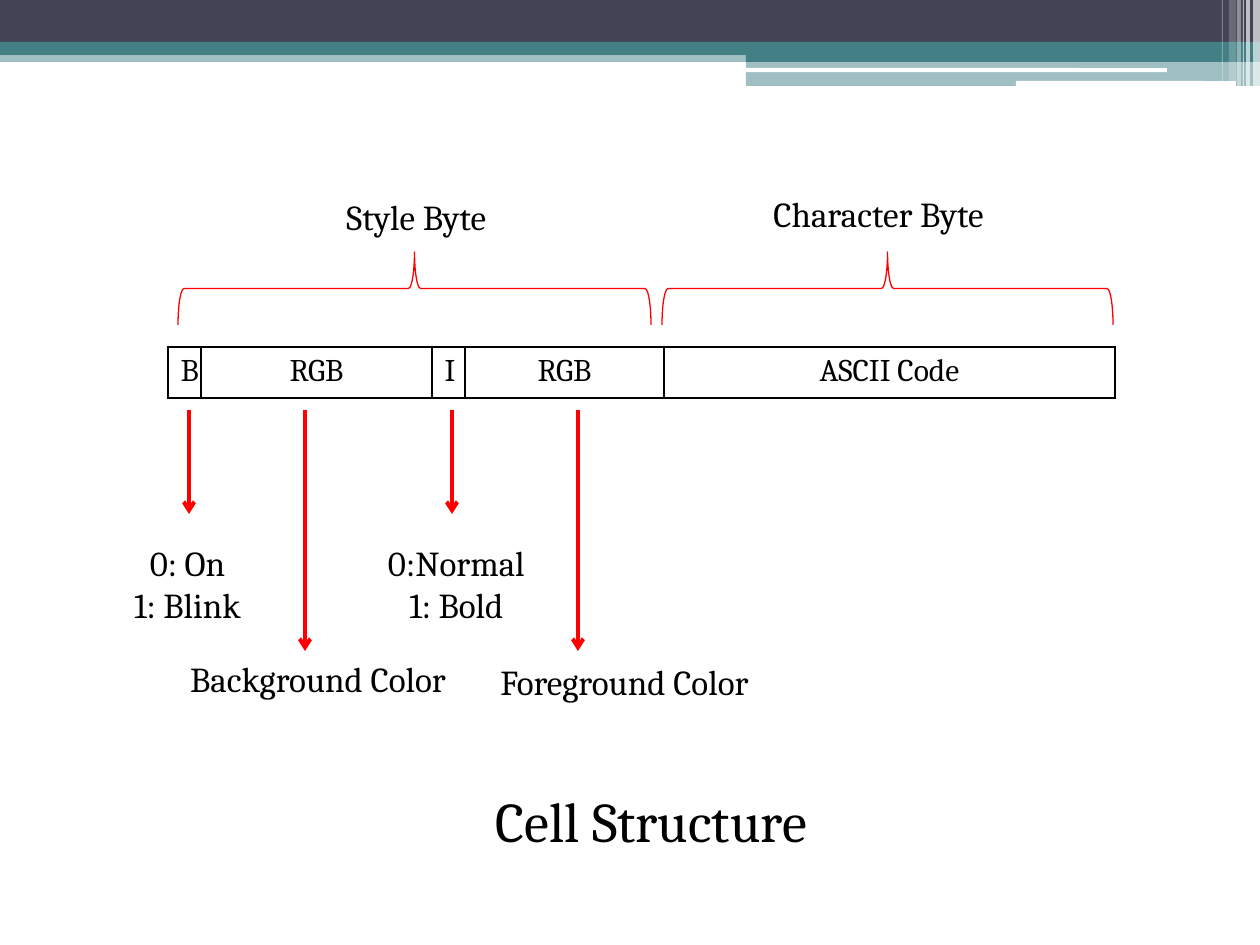
from lxml.etree import SubElement
from pptx import Presentation
from pptx.dml.color import RGBColor
from pptx.enum.shapes import MSO_CONNECTOR as CONN, MSO_SHAPE as SHAPE
from pptx.enum.text import MSO_ANCHOR as ANCHOR, MSO_AUTO_SIZE as AUTO, PP_ALIGN as ALIGN
from pptx.oxml import parse_xml
from pptx.oxml.ns import nsdecls, qn
from pptx.util import Emu, Inches, Pt

PX = Inches(1) / 126
NAVY = RGBColor(0x42, 0x44, 0x56)
TEAL = RGBColor(0x43, 0x80, 0x86)
WHITE = RGBColor(0xFF, 0xFF, 0xFF)
BLACK = RGBColor(0, 0, 0)
RED = RGBColor(0xFF, 0, 0)


def px(n):
    return Emu(round(n * PX))


class Deck:
    font = "Cambria"

    def __init__(self):
        self.prs = Presentation()
        self.prs.slide_width, self.prs.slide_height = Inches(10), Inches(7.5)
        self.s = self.prs.slides.add_slide(self.prs.slide_layouts[5])

    def style(self, tf, text, size, align):
        tf.text = text
        for p in tf.paragraphs:
            p.alignment = align
            p.font.name, p.font.size = self.font, Pt(size)
            p.font.color.rgb = BLACK

    def title(self, text, x, y, w, h):
        t = self.s.shapes.title
        t.left, t.top, t.width, t.height = map(px, (x, y, w, h))
        tf = t.text_frame
        tf.word_wrap, tf.auto_size = False, AUTO.SHAPE_TO_FIT_TEXT
        tf.vertical_anchor = ANCHOR.TOP
        self.style(tf, text, 32, ALIGN.LEFT)

    def label(self, text, x, y, w, h, align=ALIGN.CENTER):
        tf = self.s.shapes.add_textbox(*map(px, (x, y, w, h))).text_frame
        tf.word_wrap, tf.auto_size = False, AUTO.SHAPE_TO_FIT_TEXT
        self.style(tf, text, 20, align)

    def bar(self, x, y, w, h, color, opacity=100, kind=SHAPE.RECTANGLE):
        sp = self.s.shapes.add_shape(kind, *map(px, (x, y, w, h)))
        sp.shadow.inherit = False
        sp.fill.solid()
        sp.fill.fore_color.rgb = color
        sp.line.fill.background()
        if opacity < 100:
            clr = sp.element.spPr.find(qn("a:solidFill"))[0]
            SubElement(clr, qn("a:alpha"), val=str(opacity * 1000))

    def brace(self, x, y, w, h):
        left, top = x + (w - h) / 2, y + (h - w) / 2
        sp = self.s.shapes.add_shape(SHAPE.LEFT_BRACE, *map(px, (left, top, h, w)))
        sp.rotation = 90
        sp.shadow.inherit = False
        sp.fill.background()
        sp.line.color.rgb, sp.line.width = RED, Pt(0.75)

    def arrow(self, x, y1, y2):
        c = self.s.shapes.add_connector(CONN.STRAIGHT, *map(px, (x, y1, x, y2)))
        c.line.color.rgb, c.line.width = RED, Pt(2.25)
        SubElement(c.line._get_or_add_ln(), qn("a:tailEnd"), type="arrow")
        SubElement(c.element.spPr, qn("a:effectLst"))

    def table(self, x, y, h, columns):
        width = sum(w for _, w in columns)
        table = self.s.shapes.add_table(1, len(columns), *map(px, (x, y, width, h))).table
        table.first_row = table.horz_banding = False
        for i, (text, w) in enumerate(columns):
            table.columns[i].width = px(w)
            cell = table.cell(0, i)
            cell.fill.background()
            self.style(cell.text_frame, text, 18, ALIGN.CENTER)
            tcPr = cell._tc.get_or_add_tcPr()
            for n, side in enumerate("LRTB"):
                tcPr.insert(n, parse_xml(
                    f'<a:ln{side} {nsdecls("a")} w="{Pt(1)}"><a:solidFill>'
                    f'<a:srgbClr val="{BLACK}"/></a:solidFill></a:ln{side}>'))


d = Deck()
d.bar(0, 50, 1260, 12, TEAL, 50)
d.bar(0, 0, 1260, 43, NAVY)
d.bar(0, 42, 1260, 13, TEAL)
d.bar(746, 49, 514, 13, TEAL)
d.bar(746, 61, 514, 25, TEAL, 50)
for x, y, w, h in ((745, 68, 422, 4), (1016, 81, 220, 5)):
    d.bar(x, y, w, h, WHITE, kind=SHAPE.ROUNDED_RECTANGLE)
for x, w, h, opacity in ((1253, 7, 86, 65), (1246, 4, 86, 65), (1243, 1, 86, 60),
                         (1237, 4, 86, 40), (1229, 7, 81, 20), (1222, 1, 81, 30)):
    d.bar(x, 0, w, h, WHITE, opacity)

d.title("Cell Structure", 483, 780, 370, 81)
d.table(168, 347, 51, (("B", 33), ("RGB", 231), ("I", 33), ("RGB", 199), ("ASCII Code", 451)))
d.brace(178, 252, 473, 73)
d.brace(662, 252, 451, 73)
d.label("Style Byte", 334, 189, 180, 55, ALIGN.LEFT)
d.label("Character Byte", 761, 186, 257, 55, ALIGN.LEFT)
d.label("0: On\n1: Blink", 116, 535, 143, 97)
d.label("0:Normal\n1: Bold", 368, 535, 177, 97)
d.label("Background Color", 164, 651, 308, 55)
d.label("Foreground Color", 472, 654, 305, 55)
for x, end in ((189, 514), (452, 514), (305, 651), (578, 651)):
    d.arrow(x, 410, end)

d.prs.save("out.pptx")
